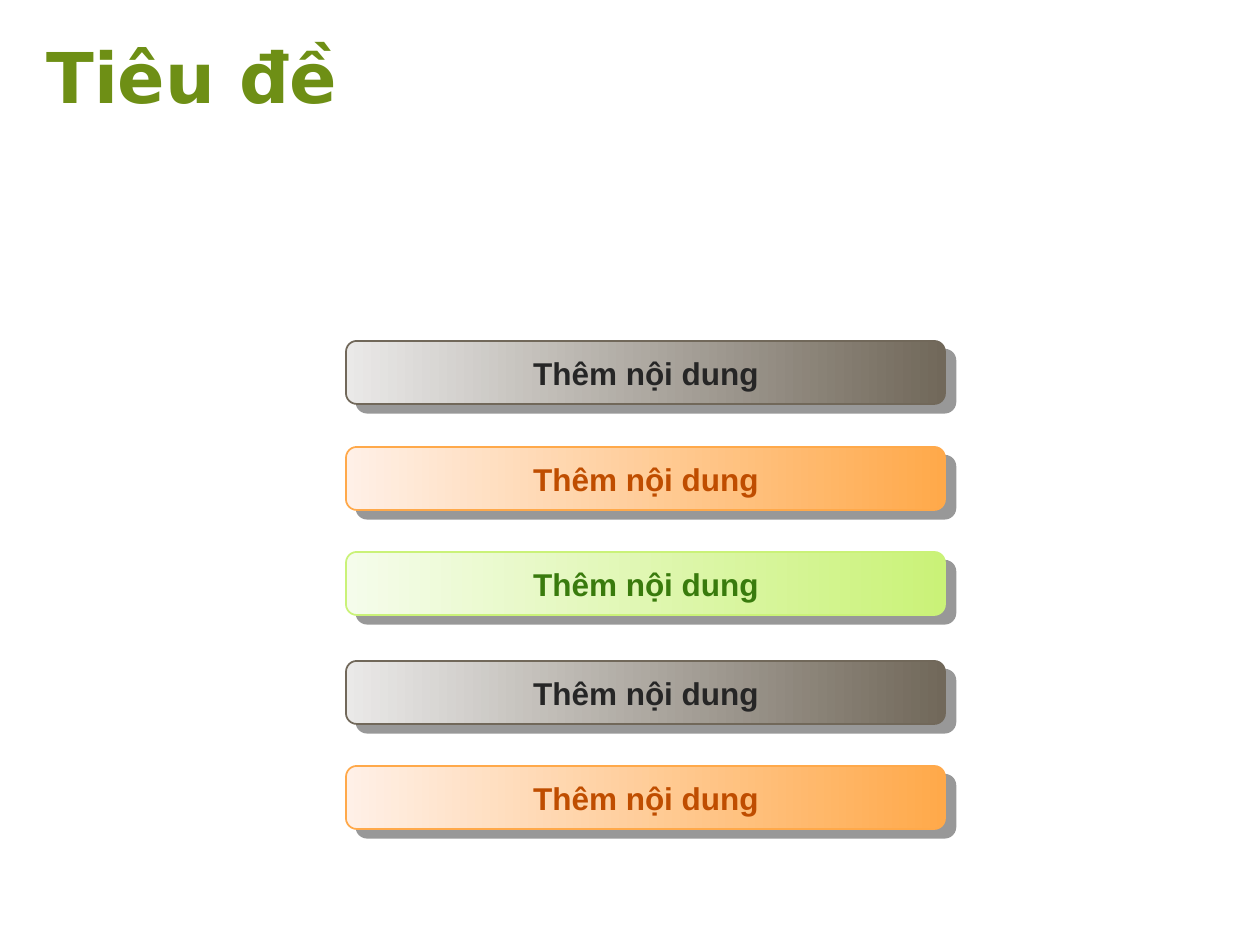
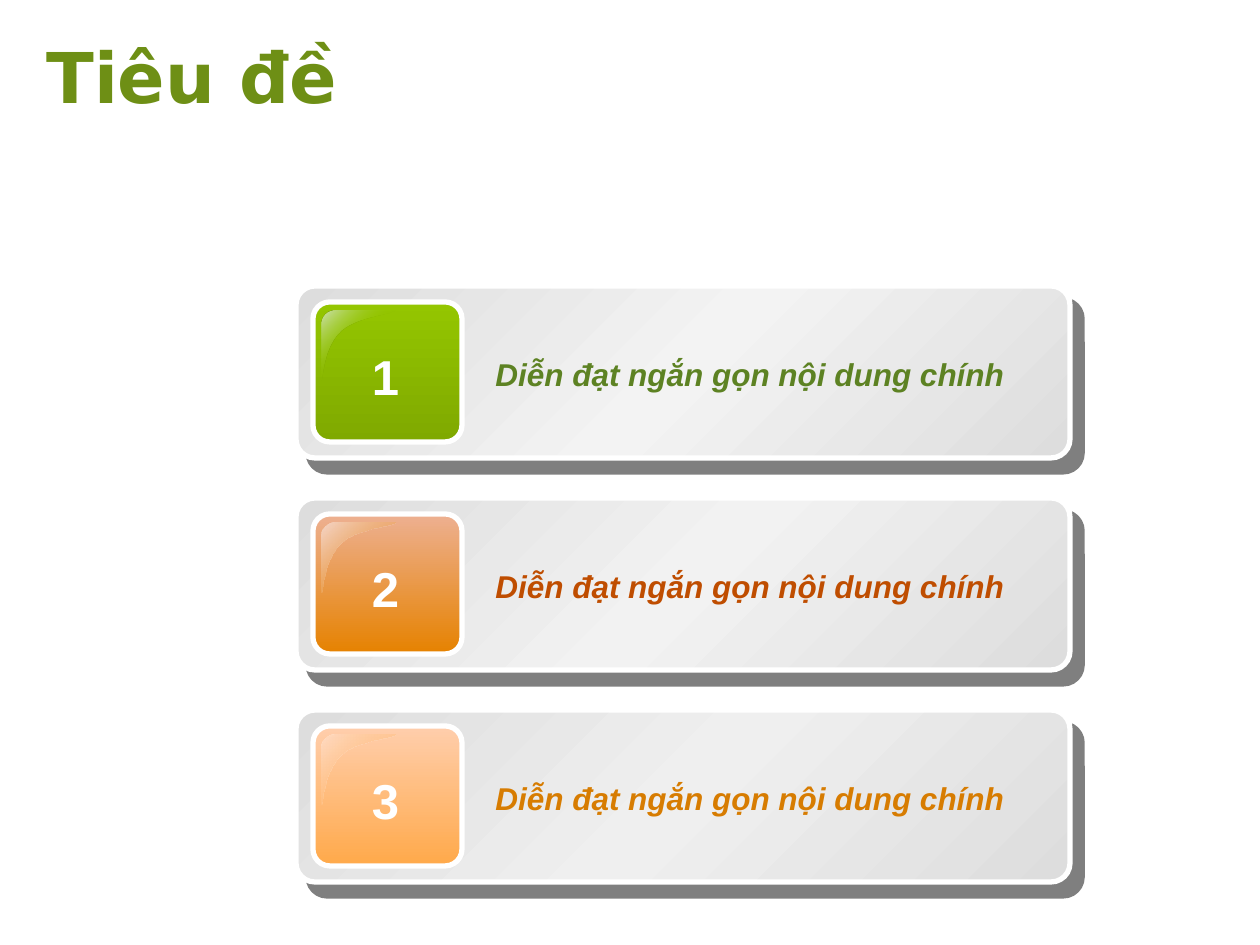
from lxml.etree import SubElement
from pptx import Presentation
from pptx.dml.color import RGBColor
from pptx.enum.shapes import MSO_SHAPE
from pptx.enum.text import MSO_ANCHOR, MSO_AUTO_SIZE, PP_ALIGN
from pptx.oxml.ns import qn
from pptx.util import Emu, Inches, Pt

SCALE = Inches(1) / 126

COLORS = {
    "title": "6E8F15",
    "white": "FFFFFF",
    "black": "000000",
    "bar_shadow": "333333",
    "panel_edge": "DDDDDD",
}

BAR_STYLES = {
    "stone": {"light": "EAE9E8", "deep": "71685A", "text": "262626"},
    "orange": {"light": "FFF0E7", "deep": "FFA94A", "text": "BF4D00"},
    "lime": {"light": "F5FCEB", "deep": "CAF278", "text": "397B0D"},
}

BARS = [(341, "stone"), (447, "orange"), (552, "lime"), (661, "stone"), (766, "orange")]

CARDS = [
    {"middle": "F3F3F3", "tile": ("94C600", "7FA900"), "text": "5D8223",
     "gloss": [(0, "CEE2B5"), (50, "94C600", 0), (100, "CEE2B5")]},
    {"middle": "F2F2F2", "tile": ("EDB091", "E68200"), "text": "BF4D00",
     "gloss": [(0, "F5D6C9"), (100, "E68200", 0)]},
    {"middle": "EFEFEF", "tile": ("FFCEAC", "FFA94A"), "text": "D77C01",
     "gloss": [(0, "FFDBC3"), (100, "FFA94A", 0)]},
]

GLOSS_CURVES = [
    [(14, 0), (6, 0), (0, 6), (0, 14)],
    [(0, 69), (2, 71), (1, 37), (20, 20)],
    [(20, 20), (38, 5), (74, 4), (73, 0)],
]


def px(length):
    return Emu(round(length * SCALE))


def curve_points(curve, steps=12):
    weights = (1, 3, 3, 1)
    for step in range(steps + 1):
        t = step / steps
        yield tuple(
            sum(weights[i] * (1 - t) ** (3 - i) * t ** i * curve[i][axis] for i in range(4))
            for axis in (0, 1)
        )


class SlideWriter:
    def __init__(self, deck):
        self.deck = deck
        self.slide = None
        self.shapes = None

    def new_slide(self, title):
        self.slide = self.deck.slides.add_slide(self.deck.slide_layouts[6])
        self.shapes = self.slide.shapes
        frame = self.text(title, 34, 44, 626, 63, 40, COLORS["title"],
                          font="DejaVu Sans", grow=False)
        frame.vertical_anchor = MSO_ANCHOR.MIDDLE

    def start_group(self):
        self.shapes = self.slide.shapes.add_group_shape().shapes

    def color(self, parent, value, opacity=100):
        color = SubElement(parent, qn("a:srgbClr"), val=value)
        if opacity < 100:
            SubElement(color, qn("a:alpha"), val=str(opacity * 1000))

    def gradient(self, shape, stops, angle):
        shape.fill.gradient()
        fill = shape._element.spPr.find(qn("a:gradFill"))
        for child in list(fill):
            fill.remove(child)
        stop_list = SubElement(fill, qn("a:gsLst"))
        for position, *color in stops:
            stop = SubElement(stop_list, qn("a:gs"), pos=str(position * 1000))
            self.color(stop, *color)
        SubElement(fill, qn("a:lin"), ang=str(angle * 60000), scaled="0")

    def shadow(self, shape, color, distance, angle):
        effects = shape._element.spPr.find(qn("a:effectLst"))
        shadow = SubElement(effects, qn("a:outerShdw"), dist=str(Pt(distance)),
                            dir=str(angle * 60000), algn="ctr", rotWithShape="0")
        self.color(shadow, color, 50)

    def rounded(self, left, top, width, height, corner, stops, angle, line, weight):
        shape = self.shapes.add_shape(MSO_SHAPE.ROUNDED_RECTANGLE,
                                      px(left), px(top), px(width), px(height))
        shape.adjustments[0] = corner
        shape.shadow.inherit = False
        self.gradient(shape, stops, angle)
        shape.line.color.rgb = RGBColor.from_string(line)
        shape.line.width = Pt(weight)
        return shape

    def gloss(self, left, top, stops):
        points = [(px(left + x), px(top + y))
                  for curve in GLOSS_CURVES for x, y in curve_points(curve)]
        builder = self.shapes.build_freeform(*points[0], scale=1.0)
        builder.add_line_segments(points[1:], close=True)
        shape = builder.convert_to_shape()
        shape.shadow.inherit = False
        self.gradient(shape, stops, 45)
        shape.line.fill.background()

    def text(self, words, left, top, width, height, size, color, font="Arial",
             align=PP_ALIGN.LEFT, italic=False, wrap=True, grow=True):
        box = self.shapes.add_textbox(px(left), px(top), px(width), px(height))
        frame = box.text_frame
        frame.text = words
        frame.word_wrap = wrap
        frame.auto_size = MSO_AUTO_SIZE.SHAPE_TO_FIT_TEXT if grow else MSO_AUTO_SIZE.NONE
        para = frame.paragraphs[0]
        para.alignment = align
        span = para.runs[0]
        span.font.name = font
        span.font.size = Pt(size)
        span.font.bold = True
        span.font.italic = italic
        span.font.color.rgb = RGBColor.from_string(color)
        return frame

    def bar(self, top, style, words):
        stops = [(0, style["light"]), (100, style["deep"])]
        shape = self.rounded(346, top, 599, 63, 0.17, stops, 0, style["deep"], 1)
        self.shadow(shape, COLORS["bar_shadow"], 7.8, 40)
        self.text(words, 410, top + 7, 472, 50, 18, style["text"], align=PP_ALIGN.CENTER)

    def card(self, top, number, card, words):
        self.start_group()
        edge, white = COLORS["panel_edge"], COLORS["white"]
        panel_stops = [(0, edge), (50, card["middle"]), (100, edge)]
        panel = self.rounded(296, top, 774, 172, 0.11, panel_stops, 45, white, 3)
        self.shadow(panel, COLORS["black"], 10.6, 49)
        first, last = card["tile"]
        self.rounded(313, top + 16, 149, 140, 0.12, [(0, first), (100, last)], 90, white, 3)
        self.gloss(322, top + 25, card["gloss"])
        self.text(str(number), 359, top + 54, 53, 72, 28, white,
                  align=PP_ALIGN.CENTER, wrap=False)
        self.text(words, 483, top + 63, 568, 50, 18, card["text"], italic=True)


deck = Presentation()
deck.slide_width, deck.slide_height = Inches(10), Inches(7.5)
writer = SlideWriter(deck)

writer.new_slide("Tiêu đề")
for top, style_name in BARS:
    writer.bar(top, BAR_STYLES[style_name], "Thêm nội dung")

writer.new_slide("Tiêu đề")
for index, card in enumerate(CARDS):
    writer.card(286 + 212 * index, index + 1, card, "Diễn đạt ngắn gọn nội dung chính")

deck.save("out.pptx")
